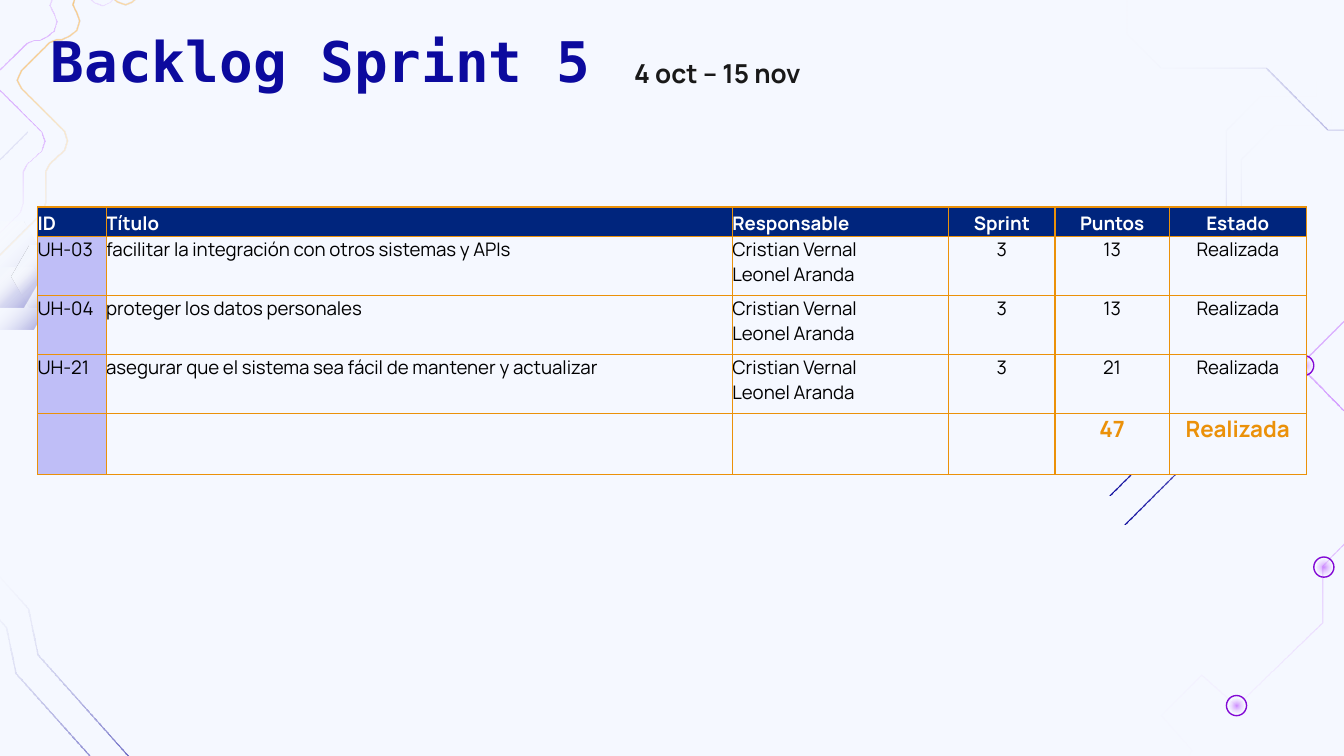
from math import hypot

from pptx import Presentation
from pptx.dml.color import RGBColor
from pptx.enum.shapes import MSO_SHAPE as Preset
from pptx.enum.text import MSO_ANCHOR as Anchor, PP_ALIGN as Align
from pptx.oxml import parse_xml
from pptx.oxml.ns import nsdecls, qn
from pptx.util import Inches, Pt

PAPER = RGBColor(0xF5, 0xF8, 0xFF)
INDIGO = RGBColor(0x0C, 0x0A, 0x9E)
NAVY = RGBColor(0x00, 0x25, 0x7D)
LILAC = RGBColor(0xBF, 0xBE, 0xF7)
ORANGE = RGBColor(0xEB, 0x91, 0x09)
AMBER = RGBColor(0xFF, 0x99, 0x00)
PURPLE = RGBColor(0x99, 0x00, 0xFF)
VIOLET = RGBColor(0x82, 0x08, 0xD5)
CHARCOAL = RGBColor(0x19, 0x19, 0x19)
BLACK = RGBColor(0, 0, 0)
WHITE = RGBColor(0xFF, 0xFF, 0xFF)

# Gradient stops: position %, colour, opacity %
CLEAR = (100, WHITE, 0)
INDIGO_FADE = [(0, INDIGO, 100), CLEAR]
SOFT_INDIGO_FADE = [(0, INDIGO, 36), CLEAR]
PURPLE_GLOW = [(0, PURPLE, 45), CLEAR]
ORANGE_FADE = [(0, ORANGE, 100), (40, AMBER, 40), CLEAR]
HEXAGON_FADE = [(0, PAPER, 100), (22, PAPER, 100), (45, WHITE, 0), (100, INDIGO, 49)]

TITLE = {"name": "DejaVu Sans Mono", "size": Pt(30), "bold": True, "color": INDIGO}
DATES = {"name": "Manrope", "size": Pt(14), "bold": True, "color": CHARCOAL}
BODY = {"name": "Manrope", "size": Pt(10), "bold": False, "color": BLACK}
HEADER = {**BODY, "bold": True, "color": WHITE}
TOTAL = {**BODY, "size": Pt(12), "bold": True, "color": ORANGE}

RIGHT_TRACE = [(8.37, 3.9), (8.77, 3.5), (8.77, 2.43), (9.23, 1.98), (9.23, 1.19),
               (9.48, 0.94), (9.9, 0.94), (9.9, 0.81)]
TOP_TRACE = [(11.35, 1.36), (10.94, 0.96), (9.88, 0.96), (9.42, 0.5), (8.64, 0.5),
             (8.39, 0.25), (8.39, -0.18), (8.25, -0.18)]
CORNER_TRACE = [(1.18, 6.25), (1.09, 5.78), (0.28, 4.87), (0.21, 4.53), (-0.15, 4.13)]
LEFT_TRACE = [(-0.1, 1.28), (0.2, 0.98)]
NODE_TRACE = [(12.07, 0.3), (11.46, 0.93), (11.78, 1.27), (10.7, 2.36), (10.35, 2.04),
              (9.67, 2.72), (10.48, 3.55), (9.84, 4.21), (9.84, 4.63), (9.2, 5.25),
              (8.94, 5.02), (8.64, 5.32), (8.87, 5.58), (8.77, 5.72), (8.87, 5.85)]
WAVE_TRACE = [(0.57, -0.62), (1.04, -0.15), (1.06, -0.1), (1.04, -0.04), (0.98, 0.02),
              (0.93, 0.04), (0.87, 0.02), (0.75, -0.09), (0.69, -0.12), (0.63, -0.09),
              (0.56, -0.02), (0.54, 0.04), (0.57, 0.1), (0.59, 0.16), (0.57, 0.23),
              (0.52, 0.27), (0.46, 0.3), (0.42, 0.3), (0.37, 0.32), (0.16, 0.53),
              (0.13, 0.6), (0.16, 0.66), (0.48, 0.98), (0.5, 1.05), (0.48, 1.12),
              (0.37, 1.22), (0.34, 1.28), (0.34, 1.51), (0.32, 1.58), (0, 1.9)]
HEXAGONS = [(-0.38, 1.65, 0.74, 0.64), (-0.15, 1.99, 0.53, 0.46), (0.09, 1.83, 0.53, 0.46)]
NODES = [(9.2, 5.25), (9.85, 4.22), (9.7, 2.72)]

TEAM = "Cristian Vernal\nLeonel Aranda"
ROWS = [
    ("ID", "Título", "Responsable", "Sprint", "Puntos", "Estado"),
    ("UH-03", "facilitar la integración con otros sistemas y APIs", TEAM, "3", "13", "Realizada"),
    ("UH-04", "proteger los datos personales", TEAM, "3", "13", "Realizada"),
    ("UH-21", "asegurar que el sistema sea fácil de mantener y actualizar", TEAM, "3", "21",
     "Realizada"),
    ("", "", "", "", "47", "Realizada"),
]
COLUMN_WIDTHS = [0.51, 4.66, 1.61, 0.79, 0.85, 1.02]
ROW_HEIGHTS = [0.22, 0.44, 0.44, 0.44, 0.45]


def shifted(points, dx, dy):
    return [(x + dx, y + dy) for x, y in points]


def ribbon(points, width=0.01):
    """Outline of a constant-width band that follows the points."""
    normals = []
    for (x1, y1), (x2, y2) in zip(points, points[1:]):
        length = hypot(x2 - x1, y2 - y1)
        normals.append(((y1 - y2) / length, (x2 - x1) / length))
    left, right = [], []
    for (x, y), (ax, ay), (bx, by) in zip(points, normals[:1] + normals, normals + normals[-1:]):
        reach = width / 2 / (1 + ax * bx + ay * by)
        dx, dy = (ax + bx) * reach, (ay + by) * reach
        left.append((x + dx, y + dy))
        right.append((x - dx, y - dy))
    return left + right[::-1]


class SlideBuilder:
    def __init__(self, slide):
        self.slide = slide
        self.shapes = slide.shapes
        fill = slide.background.fill
        fill.solid()
        fill.fore_color.rgb = PAPER

    def style_font(self, paragraph, style):
        for name, value in style.items():
            if name == "color":
                paragraph.font.color.rgb = value
            else:
                setattr(paragraph.font, name, value)

    def gradient(self, shape, stops, angle):
        """Fill with a linear gradient, or a radial one when angle is None."""
        shape.shadow.inherit = False
        shape.line.fill.background()
        shape.fill.background()
        stop_xml = "".join(
            f'<a:gs pos="{position * 1000}"><a:srgbClr val="{color}">'
            f'<a:alpha val="{opacity * 1000}"/></a:srgbClr></a:gs>'
            for position, color, opacity in stops)
        direction = f'<a:lin ang="{(angle or 0) * 60000}" scaled="0"/>'
        if angle is None:
            direction = ('<a:path path="circle"><a:fillToRect l="50000" t="50000" '
                         'r="50000" b="50000"/></a:path>')
        properties = shape._element.spPr
        properties.replace(properties.find(qn("a:noFill")), parse_xml(
            f'<a:gradFill {nsdecls("a")} rotWithShape="1"><a:gsLst>{stop_xml}</a:gsLst>'
            f'{direction}</a:gradFill>'))

    def polygon(self, points, stops, angle=None):
        corners = [(Inches(x), Inches(y)) for x, y in points]
        builder = self.shapes.build_freeform(*corners[0])
        builder.add_line_segments(corners[1:], close=True)
        self.gradient(builder.convert_to_shape(), stops, angle)

    def hexagon(self, left, top, width, height):
        inset, middle = width / 4, top + height / 2
        right, bottom = left + width, top + height
        self.polygon([(left, middle), (left + inset, top), (right - inset, top),
                      (right, middle), (right - inset, bottom), (left + inset, bottom)],
                     HEXAGON_FADE, 45)

    def circle(self, center, diameter):
        left, top = (Inches(value - diameter / 2) for value in center)
        return self.shapes.add_shape(Preset.OVAL, left, top, Inches(diameter), Inches(diameter))

    def node(self, center):
        ring = self.circle(center, 0.15)
        ring.shadow.inherit = False
        ring.fill.background()
        ring.line.color.rgb = VIOLET
        ring.line.width = Pt(0.75)
        self.gradient(self.circle(center, 0.11), PURPLE_GLOW, None)

    def text(self, words, box, style, spacing=1.0):
        frame = self.shapes.add_textbox(*map(Inches, box)).text_frame
        frame.word_wrap = True
        for side in ("left", "top", "right", "bottom"):
            setattr(frame, f"margin_{side}", Inches(0.1))
        paragraph = frame.paragraphs[0]
        paragraph.text = words
        paragraph.line_spacing = spacing
        self.style_font(paragraph, style)

    def cell(self, cell, words, style, fill, align, anchor):
        for side in ("left", "top", "right", "bottom"):
            setattr(cell, f"margin_{side}", 0)
        cell.vertical_anchor = anchor
        cell.text = words
        for paragraph in cell.text_frame.paragraphs:
            paragraph.alignment = align
            self.style_font(paragraph, style)
        properties = cell._tc.get_or_add_tcPr()
        for edge in "LRTB":
            properties.append(parse_xml(
                f'<a:ln{edge} {nsdecls("a")} w="{Pt(0.75)}"><a:solidFill>'
                f'<a:srgbClr val="{ORANGE}"/></a:solidFill></a:ln{edge}>'))
        cell.fill.solid()
        cell.fill.fore_color.rgb = fill

    def table(self, left, top):
        table = self.shapes.add_table(
            len(ROWS), len(COLUMN_WIDTHS), Inches(left), Inches(top),
            Inches(sum(COLUMN_WIDTHS)), Inches(sum(ROW_HEIGHTS))).table
        for column, width in zip(table.columns, COLUMN_WIDTHS):
            column.width = Inches(width)
        for row, height in zip(table.rows, ROW_HEIGHTS):
            row.height = Inches(height)
        styles = [HEADER, BODY, BODY, BODY, TOTAL]
        for r, (row, style) in enumerate(zip(ROWS, styles)):
            for c, words in enumerate(row):
                fill = NAVY if r == 0 else LILAC if c == 0 else PAPER
                self.cell(table.cell(r, c), words, style, fill,
                          Align.CENTER if c > 2 else Align.LEFT,
                          Anchor.BOTTOM if r == 0 else Anchor.TOP)


def main():
    presentation = Presentation()
    presentation.slide_width = Inches(10)
    presentation.slide_height = Inches(10) * 9 // 16
    builder = SlideBuilder(presentation.slides.add_slide(presentation.slide_layouts[6]))

    for trace, stops, angle in [
        (RIGHT_TRACE, INDIGO_FADE, 270),
        (shifted(RIGHT_TRACE, -0.11, -0.22), INDIGO_FADE, 270),
        (TOP_TRACE, INDIGO_FADE, 180),
        (NODE_TRACE, PURPLE_GLOW, None),
        (CORNER_TRACE, INDIGO_FADE, 228),
        (shifted(CORNER_TRACE, -0.16, 0.14), INDIGO_FADE, 228),
    ]:
        builder.polygon(ribbon(trace), stops, angle)
    for center in NODES:
        builder.node(center)
    for box in HEXAGONS:
        builder.hexagon(*box)
    builder.polygon(ribbon(WAVE_TRACE), ORANGE_FADE, 45)
    builder.polygon(ribbon(shifted(WAVE_TRACE, -0.17, 0)), PURPLE_GLOW)
    builder.polygon(ribbon(LEFT_TRACE), SOFT_INDIGO_FADE, 225)

    builder.text("Backlog Sprint 5", (0.28, 0.1, 8.43, 0.63), TITLE)
    builder.table(0.28, 1.54)
    builder.text("4 oct – 15 nov", (4.62, 0.29, 2.73, 0.44), DATES, 1.15)
    presentation.save("out.pptx")


if __name__ == "__main__":
    main()
